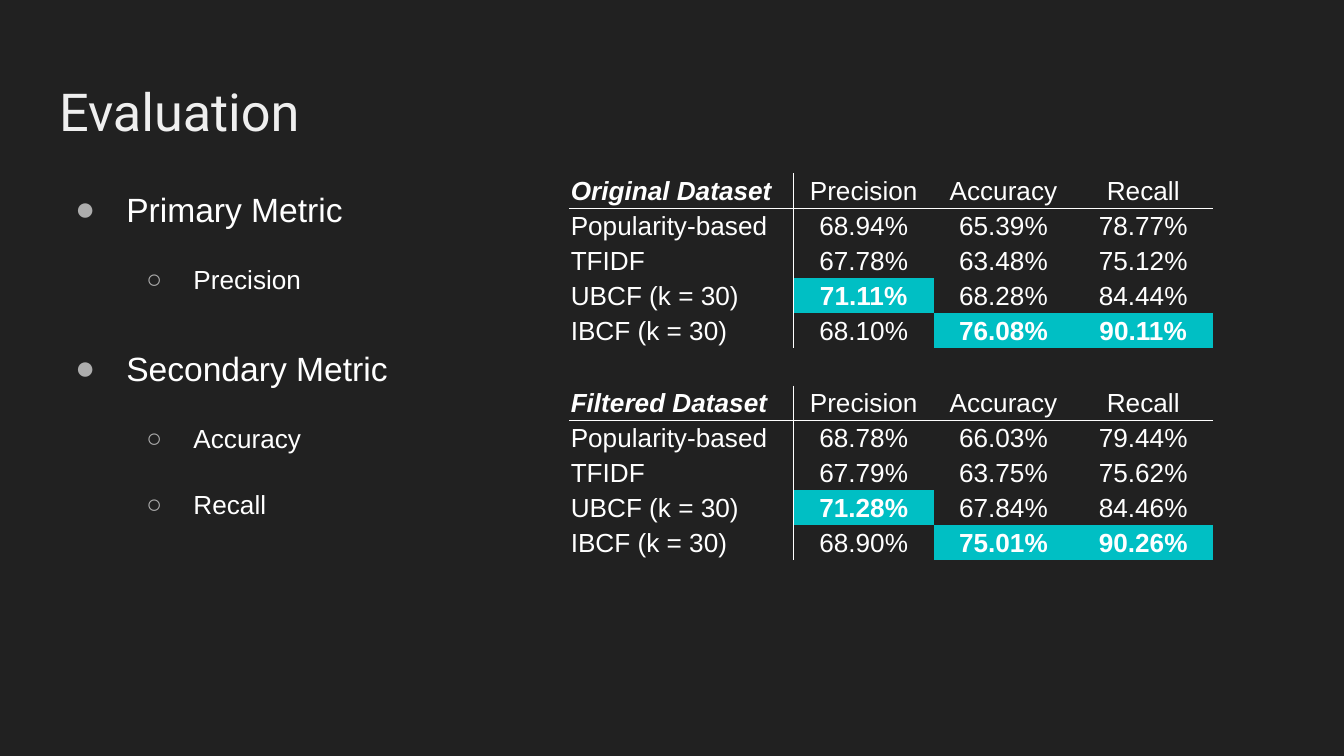
from lxml import etree
from pptx import Presentation
from pptx.dml.color import RGBColor
from pptx.enum.text import MSO_ANCHOR, PP_ALIGN
from pptx.oxml.ns import qn
from pptx.util import Inches, Pt

TOP, MIDDLE = MSO_ANCHOR.TOP, MSO_ANCHOR.MIDDLE
LEFT, CENTER = PP_ALIGN.LEFT, PP_ALIGN.CENTER

DARK = RGBColor(0x21, 0x21, 0x21)
WHITE = RGBColor(0xFF, 0xFF, 0xFF)
PALE = RGBColor(0xEF, 0xEF, 0xEF)
GREY = RGBColor(0xAD, 0xAD, 0xAD)
TEAL = RGBColor(0x00, 0xBF, 0xC4)

WIDTH = Inches(10)
HEIGHT = WIDTH * 9 // 16
NAME_COLUMN, VALUE_COLUMN = 1.67, 1.04

TITLE_BOX = (3.41, 8.71, 93.2, 11.2)
METRICS_BOX = (3.41, 22.4, 93.2, 66.49)
ORIGINAL_BOX = (42.37, 22.93, 47.9, 23.11)
FILTERED_BOX = (42.37, 51.02, 47.9, 23.11)

LEVELS = [
    {"size": 18, "bullet": "●", "margin": 0.5, "hang": 0.38},
    {"size": 14, "bullet": "○", "margin": 1, "hang": 0.35},
]
METRICS = [
    ("Primary Metric", 0, 0),
    ("Precision", 1, 16),
    ("Secondary Metric", 0, 25),
    ("Accuracy", 1, 16),
    ("Recall", 1, 16),
]
MEASURES = ["Precision", "Accuracy", "Recall"]
MODELS = ["Popularity-based", "TFIDF", "UBCF (k = 30)", "IBCF (k = 30)"]
ORIGINAL = [
    (68.94, 65.39, 78.77),
    (67.78, 63.48, 75.12),
    (71.11, 68.28, 84.44),
    (68.10, 76.08, 90.11),
]
FILTERED = [
    (68.78, 66.03, 79.44),
    (67.79, 63.75, 75.62),
    (71.28, 67.84, 84.46),
    (68.90, 75.01, 90.26),
]


def place(box):
    left, top, width, height = box
    return (int(WIDTH * left / 100), int(HEIGHT * top / 100),
            int(WIDTH * width / 100), int(HEIGHT * height / 100))


def add_span(para, text, size, color=WHITE, font="Arial", bold=False, italic=False):
    span = para.add_run()
    span.text = text
    span.font.name = font
    span.font.size = Pt(size)
    span.font.color.rgb = color
    span.font.bold = bold
    span.font.italic = italic


def add_frame(page, box):
    frame = page.shapes.add_textbox(*place(box)).text_frame
    frame.word_wrap = True
    frame.vertical_anchor = TOP
    frame.margin_left = frame.margin_right = Inches(0.1)
    frame.margin_top = frame.margin_bottom = Inches(0.1)
    return frame


def add_bullet(para, level):
    properties = para._p.get_or_add_pPr()
    properties.set("marL", str(Inches(level["margin"])))
    properties.set("indent", str(-Inches(level["hang"])))
    color = etree.SubElement(properties, qn("a:buClr"))
    etree.SubElement(color, qn("a:srgbClr"), val=str(GREY))
    etree.SubElement(properties, qn("a:buFont"), typeface="Arial")
    etree.SubElement(properties, qn("a:buChar"), char=level["bullet"])


def add_title(page, box):
    para = add_frame(page, box).paragraphs[0]
    add_span(para, "Evaluation", 28, PALE, "Roboto")


def add_metrics(page, box):
    frame = add_frame(page, box)
    for index, (text, depth, gap) in enumerate(METRICS):
        para = frame.paragraphs[0] if index == 0 else frame.add_paragraph()
        para.level = depth
        para.line_spacing = 1.15
        para.space_before = Pt(gap)
        add_bullet(para, LEVELS[depth])
        add_span(para, text, LEVELS[depth]["size"])


def add_borders(cell, sides):
    properties = cell._tc.get_or_add_tcPr()
    for side in "LRTB":
        line = etree.SubElement(properties, qn(f"a:ln{side}"), w=str(Pt(0.5)))
        if side in sides:
            fill = etree.SubElement(line, qn("a:solidFill"))
            etree.SubElement(fill, qn("a:srgbClr"), val=str(WHITE))
        else:
            etree.SubElement(line, qn("a:noFill"))


def fill_cell(cell, text, row, column, best):
    sides = {0: "R", 1: "L"}.get(column, "") + {0: "B", 1: "T"}.get(row, "")
    add_borders(cell, sides)
    cell.fill.solid()
    cell.fill.fore_color.rgb = TEAL if best else DARK
    cell.vertical_anchor = MIDDLE
    cell.margin_left = cell.margin_right = cell.margin_top = Inches(0.01)
    cell.margin_bottom = 0
    heading = row == 0 and column == 0
    para = cell.text_frame.paragraphs[0]
    para.alignment = CENTER if column else LEFT
    add_span(para, text, 14, bold=best or heading, italic=heading)


def add_results(page, box, heading, scores):
    best = [max(column) for column in zip(*scores)]
    rows, columns = len(MODELS) + 1, len(MEASURES) + 1
    table = page.shapes.add_table(rows, columns, *place(box)).table
    table.first_row = False
    table.horz_banding = False
    for index, column in enumerate(table.columns):
        column.width = Inches(VALUE_COLUMN if index else NAME_COLUMN)
    for index, text in enumerate([heading] + MEASURES):
        fill_cell(table.cell(0, index), text, 0, index, False)
    for row, (model, values) in enumerate(zip(MODELS, scores), 1):
        fill_cell(table.cell(row, 0), model, row, 0, False)
        for column, value in enumerate(values, 1):
            fill_cell(table.cell(row, column), f"{value:.2f}%", row, column,
                      value == best[column - 1])


def main():
    deck = Presentation()
    deck.slide_width, deck.slide_height = WIDTH, HEIGHT
    page = deck.slides.add_slide(deck.slide_layouts[6])
    page.background.fill.solid()
    page.background.fill.fore_color.rgb = DARK
    add_title(page, TITLE_BOX)
    add_metrics(page, METRICS_BOX)
    add_results(page, ORIGINAL_BOX, "Original Dataset", ORIGINAL)
    add_results(page, FILTERED_BOX, "Filtered Dataset", FILTERED)
    deck.save("out.pptx")


if __name__ == "__main__":
    main()
